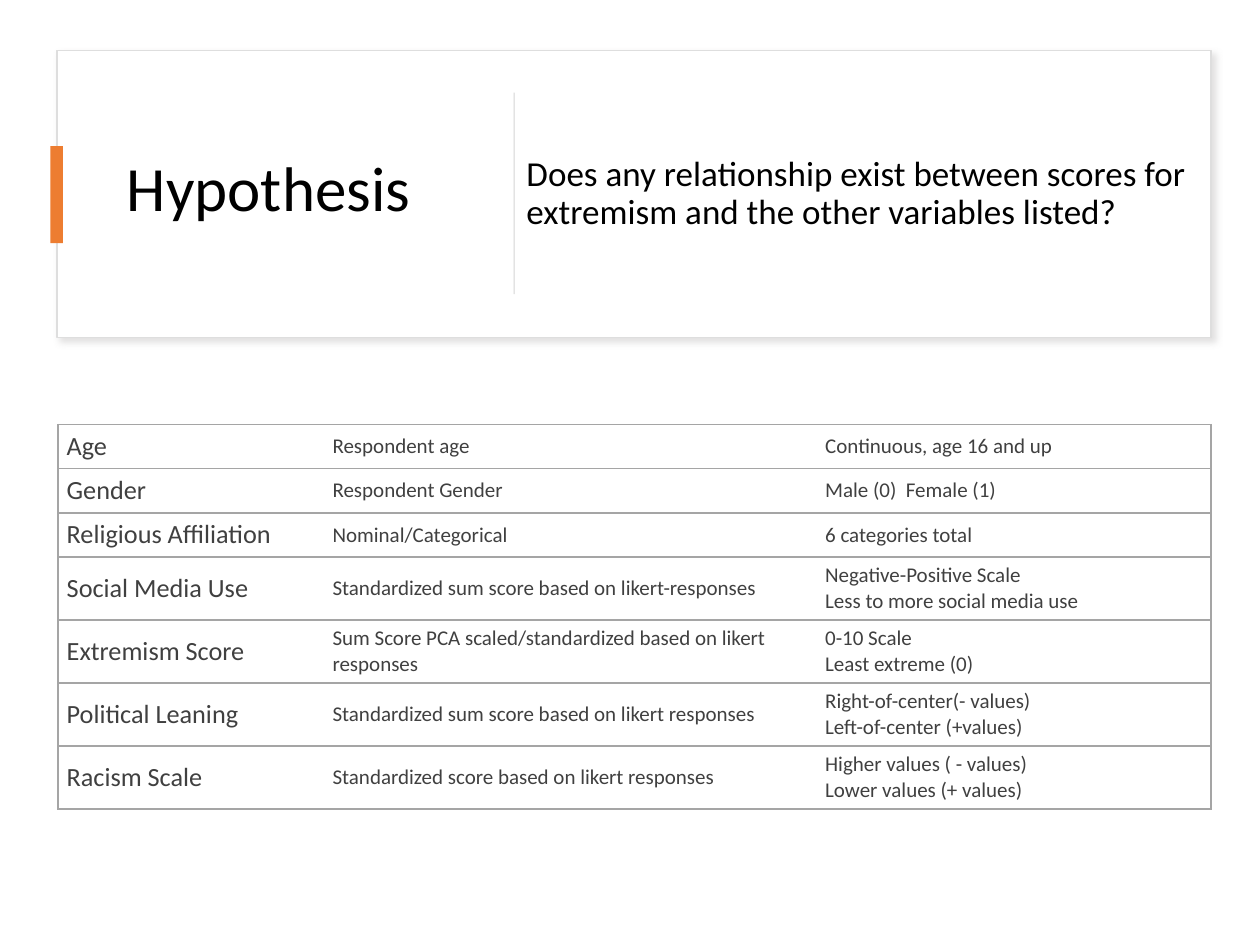
from lxml.etree import SubElement
from pptx import Presentation
from pptx.dml.color import RGBColor
from pptx.enum.shapes import MSO_SHAPE as Shape
from pptx.enum.text import MSO_ANCHOR as Anchor
from pptx.oxml import parse_xml
from pptx.oxml.ns import nsdecls, qn
from pptx.util import Inches, Pt

WHITE = RGBColor(0xFF, 0xFF, 0xFF)
BLACK = RGBColor(0, 0, 0)
CHARCOAL = RGBColor(0x40, 0x40, 0x40)
GRAY = RGBColor(0xA5, 0xA5, 0xA5)
FRAME = RGBColor(0xDE, 0xDE, 0xDE)
RULE = RGBColor(0xD5, 0xD5, 0xD5)
SHADE = RGBColor(0xC5, 0xC3, 0xC3)
ORANGE = RGBColor(0xED, 0x7D, 0x31)

VARIABLES = [
    ("Age", "Respondent age ", "Continuous, age 16 and up"),
    ("Gender", "Respondent Gender", "Male (0)  Female (1)"),
    ("Religious Affiliation", "Nominal/Categorical", "6 categories total"),
    ("Social Media Use", "Standardized sum score based on likert-responses",
     "Negative-Positive Scale\nLess to more social media use"),
    ("Extremism Score", "Sum Score PCA scaled/standardized based on likert responses",
     "0-10 Scale\nLeast extreme (0)"),
    ("Political Leaning", "Standardized sum score based on likert responses",
     "Right-of-center(- values)\nLeft-of-center (+values)"),
    ("Racism Scale", "Standardized score based on likert responses",
     "Higher values ( - values)\nLower values (+ values)"),
]


class Page:
    """Slide drawn on a grid of 100 columns by 75 rows in one typeface."""

    font = "Calibri"

    def __init__(self, deck):
        self.unit = deck.slide_width / 100
        self.shapes = deck.slides.add_slide(deck.slide_layouts[6]).shapes

    def place(self, *lengths):
        return [round(length * self.unit) for length in lengths]

    def fill_text(self, frame, text, size, color, spacing=None, after=None):
        for index, line in enumerate(text.split("\n")):
            para = frame.add_paragraph() if index else frame.paragraphs[0]
            para.line_spacing = spacing
            para.space_after = after
            span = para.add_run()
            span.text = line
            span.font.name = self.font
            span.font.size = Pt(size)
            span.font.color.rgb = color

    def rect(self, area, fill, line=None, turn=0):
        shape = self.shapes.add_shape(Shape.RECTANGLE, *self.place(*area))
        shape.shadow.inherit = False
        shape.rotation = turn
        shape.fill.solid()
        shape.fill.fore_color.rgb = fill
        if line is None:
            shape.line.fill.background()
        else:
            shape.line.color.rgb = line
            shape.line.width = Pt(1)
        return shape

    def shadow(self, shape, color):
        effects = shape._element.spPr.find(qn("a:effectLst"))
        effects.append(parse_xml(
            f'<a:outerShdw {nsdecls("a")} blurRad="{Pt(4)}" dist="{Pt(3)}" dir="2700000" '
            f'algn="tl" rotWithShape="0"><a:srgbClr val="{color}"><a:alpha val="50000"/>'
            '</a:srgbClr></a:outerShdw>'))

    def text(self, area, text, size, anchor=Anchor.TOP, **spacing):
        frame = self.shapes.add_textbox(*self.place(*area)).text_frame
        frame.word_wrap = True
        frame.vertical_anchor = anchor
        self.fill_text(frame, text, size, BLACK, **spacing)

    def borders(self, cell, sides):
        properties = cell._tc.get_or_add_tcPr()
        for side in "LRTB":
            border = SubElement(properties, qn(f"a:ln{side}"), w=str(Pt(1)))
            if side in sides:
                fill = SubElement(border, qn("a:solidFill"))
                SubElement(fill, qn("a:srgbClr"), val=str(GRAY))
            else:
                SubElement(border, qn("a:noFill"))

    def table(self, area, rows, widths, heights, sizes, sides):
        table = self.shapes.add_table(len(rows), len(widths), *self.place(*area)).table
        table.first_row = table.horz_banding = False
        for column, width in zip(table.columns, self.place(*widths)):
            column.width = width
        for row, height, texts in zip(table.rows, self.place(*heights), rows):
            row.height = height
            for cell, text, size, edges in zip(row.cells, texts, sizes, sides):
                self.borders(cell, edges)
                cell.fill.solid()
                cell.fill.fore_color.rgb = WHITE
                cell.vertical_anchor = Anchor.MIDDLE
                cell.margin_left = cell.margin_right = Inches(0.07)
                cell.margin_top = cell.margin_bottom = Inches(0.04)
                self.fill_text(cell.text_frame, text, size, CHARCOAL)


deck = Presentation()
deck.slide_width, deck.slide_height = Inches(10), Inches(7.5)
page = Page(deck)

panel = page.rect((4.5, 4, 91.6, 22.8), WHITE, FRAME)
page.shadow(panel, SHADE)
page.rect((4, 11.6, 1, 7.7), ORANGE)
page.rect((32.8, 15.3, 16, 0.1), RULE, turn=90)
page.text((40.8, 6.4, 56.8, 18),
          "Does any relationship exist between scores for extremism and the other variables listed?",
          20, Anchor.MIDDLE, spacing=0.9, after=Pt(6))
page.table((4.6, 33.7, 91.6, 30.5), VARIABLES, widths=(21.1, 39.1, 31.3),
           heights=[3.5] * 3 + [5] * 4, sizes=(15, 12, 12), sides=("LTB", "TB", "RTB"))
page.text((9.1, 11.3, 27.6, 7.1), "Hypothesis", 36)

deck.save("out.pptx")
